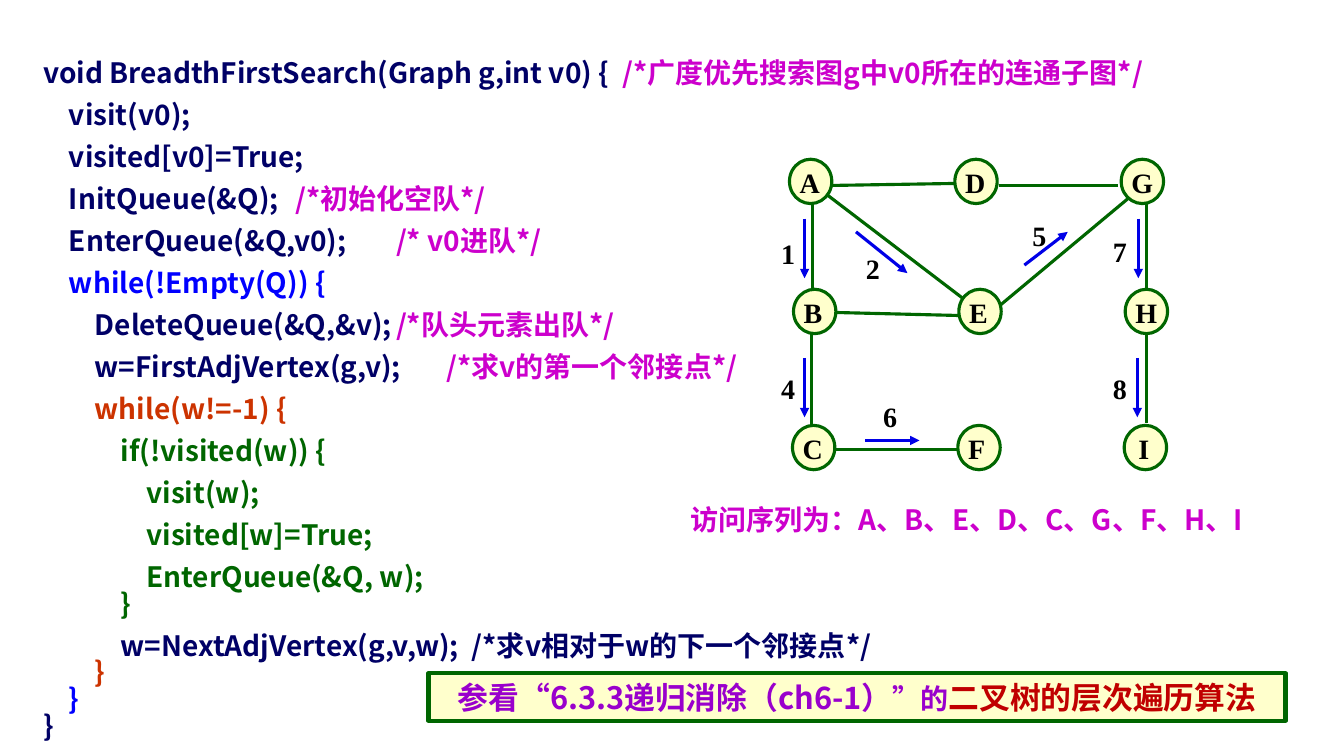
"""Build a slide with breadth-first search code and its traversal graph."""
from dataclasses import dataclass

from lxml.etree import SubElement
from pptx import Presentation
from pptx.dml.color import RGBColor
from pptx.enum.shapes import MSO_CONNECTOR, MSO_SHAPE
from pptx.enum.text import MSO_ANCHOR, PP_ALIGN
from pptx.oxml.ns import qn
from pptx.shapes.autoshape import Shape
from pptx.slide import Slide
from pptx.text.text import _Paragraph, _Run
from pptx.util import Inches, Pt

SANS = "Noto Sans CJK SC"
SERIF = "Times New Roman"
NAVY, MAGENTA, GREEN = "000066", "CC00CC", "006600"
BLUE, ORANGE, ARROW_BLUE = "0000FF", "CC3300", "0000E7"
PURPLE, RED, CREAM, BLACK = "9900CC", "C00000", "FFFFCC", "000000"
INDENT_STEP = 0.256
COMMENT_TAB = 4.0


@dataclass(frozen=True)
class CodeLine:
    level: int
    code: str
    comment: str = ""
    color: str = NAVY
    tight: bool = False


@dataclass(frozen=True)
class Vertex:
    name: str
    left: float
    top: float
    inset: float = 0.04


@dataclass(frozen=True)
class Line:
    x1: float
    y1: float
    x2: float
    y2: float


@dataclass(frozen=True)
class StepLabel:
    number: str
    left: float
    top: float
    width: float = 0.43
    height: float = 0.4


CODE = [
    CodeLine(0, "void BreadthFirstSearch(Graph g,int v0) {  ", "/*广度优先搜索图g中v0所在的连通子图*/"),
    CodeLine(1, "visit(v0);"),
    CodeLine(1, "visited[v0]=True;"),
    CodeLine(1, "InitQueue(&Q);\t", "/*初始化空队*/"),
    CodeLine(1, "EnterQueue(&Q,v0);\t", "/* v0进队*/"),
    CodeLine(1, "while(!Empty(Q)) {", color=BLUE),
    CodeLine(2, "DeleteQueue(&Q,&v);\t", "/*队头元素出队*/"),
    CodeLine(2, "w=FirstAdjVertex(g,v);\t", "/*求v的第一个邻接点*/"),
    CodeLine(2, "while(w!=-1) {", color=ORANGE),
    CodeLine(3, "if(!visited(w)) {", color=GREEN),
    CodeLine(4, "visit(w);", color=GREEN),
    CodeLine(4, "visited[w]=True;", color=GREEN),
    CodeLine(4, "EnterQueue(&Q, w);", color=GREEN),
    CodeLine(3, "}", color=GREEN, tight=True),
    CodeLine(3, "w=NextAdjVertex(g,v,w);  /*求v相对于w的下一个邻接点*/"),
    CodeLine(2, "}", color=ORANGE, tight=True),
    CodeLine(1, "}", color=BLUE, tight=True),
    CodeLine(0, "}", tight=True),
]
VERTICES = [
    Vertex("A", 7.83, 1.58), Vertex("D", 9.47, 1.58), Vertex("G", 11.12, 1.58),
    Vertex("B", 7.87, 2.87), Vertex("E", 9.51, 2.87), Vertex("H", 11.16, 2.87),
    Vertex("C", 7.86, 4.22), Vertex("F", 9.5, 4.22), Vertex("I", 11.15, 4.22, 0.08),
]
EDGES = [
    Line(8.25, 1.84, 9.49, 1.82), Line(9.91, 1.84, 11.09, 1.84),
    Line(8.06, 2.01, 8.06, 2.9), Line(8.2, 1.93, 9.55, 2.96),
    Line(9.93, 3.02, 11.2, 1.96), Line(11.37, 2.02, 11.37, 2.91),
    Line(8.29, 3.1, 9.51, 3.13), Line(8.05, 3.31, 8.05, 4.22),
    Line(11.37, 3.32, 11.37, 4.2), Line(8.29, 4.46, 9.51, 4.46),
]
VISIT_ARROWS = [
    Line(7.98, 2.17, 7.98, 2.76), Line(7.98, 3.55, 7.98, 4.14),
    Line(11.29, 2.17, 11.29, 2.76), Line(11.28, 3.55, 11.28, 4.14),
    Line(8.49, 2.3, 9, 2.71), Line(8.58, 4.37, 9.12, 4.37),
    Line(10.16, 2.63, 10.59, 2.3),
]
STEP_LABELS = [
    StepLabel("1", 7.65, 2.3), StepLabel("2", 8.49, 2.45, 0.48),
    StepLabel("4", 7.65, 3.64), StepLabel("5", 10.14, 2.12, 0.29, 0.66),
    StepLabel("6", 8.66, 3.91, 0.34, 0.52), StepLabel("7", 10.94, 2.28),
    StepLabel("8", 10.94, 3.64),
]


def rgb(color: str) -> RGBColor:
    return RGBColor.from_string(color)


def format_run(run: _Run, color: str, font: str = SANS, size: float = 20) -> None:
    run.font.name = font
    run.font.size = Pt(size)
    run.font.bold = True
    run.font.color.rgb = rgb(color)
    SubElement(run.font._element, qn("a:ea")).set("typeface", font)


def add_run(paragraph: _Paragraph, text: str, color: str, size: float = 20) -> None:
    run = paragraph.add_run()
    run.text = text
    format_run(run, color, size=size)


def add_text_box(slide: Slide, left: float, top: float, width: float, height: float) -> Shape:
    box = slide.shapes.add_textbox(Inches(left), Inches(top), Inches(width), Inches(height))
    box.text_frame.word_wrap = True
    return box


def add_filled_shape(slide: Slide, kind: MSO_SHAPE, left: float, top: float,
                     width: float, height: float, line_width: float) -> Shape:
    shape = slide.shapes.add_shape(kind, Inches(left), Inches(top), Inches(width), Inches(height))
    shape.shadow.inherit = False
    shape.fill.solid()
    shape.fill.fore_color.rgb = rgb(CREAM)
    shape.line.color.rgb = rgb(GREEN)
    shape.line.width = Pt(line_width)
    return shape


def add_line(slide: Slide, line: Line, color: str, arrow: bool = False) -> None:
    connector = slide.shapes.add_connector(
        MSO_CONNECTOR.STRAIGHT, Inches(line.x1), Inches(line.y1), Inches(line.x2), Inches(line.y2))
    connector.line.color.rgb = rgb(color)
    connector.line.width = Pt(2.25)
    if arrow:
        SubElement(connector.line._get_or_add_ln(), qn("a:tailEnd")).set("type", "triangle")
    SubElement(connector._element.spPr, qn("a:effectLst"))


def add_code(slide: Slide) -> None:
    frame = add_text_box(slide, 0.33, 0.5, 12.67, 6.67).text_frame
    for index, line in enumerate(CODE):
        paragraph = frame.add_paragraph() if index else frame.paragraphs[0]
        if line.tight:
            paragraph.line_spacing = Pt(19)
        else:
            paragraph.space_before = Pt(6)
        properties = paragraph._p.get_or_add_pPr()
        properties.set("marL", "0")
        properties.set("indent", str(Inches(line.level * INDENT_STEP)))
        if "\t" in line.code:
            tab = SubElement(SubElement(properties, qn("a:tabLst")), qn("a:tab"))
            tab.set("pos", str(Inches(COMMENT_TAB)))
            tab.set("algn", "l")
        add_run(paragraph, line.code, line.color)
        if line.comment:
            add_run(paragraph, line.comment, MAGENTA)


def add_vertex(slide: Slide, vertex: Vertex) -> None:
    circle = add_filled_shape(slide, MSO_SHAPE.OVAL, vertex.left, vertex.top, 0.42, 0.44, 2.25)
    frame = circle.text_frame
    frame.margin_left, frame.margin_bottom = Inches(vertex.inset), Inches(0.04)
    frame.margin_top = frame.margin_right = Inches(0)
    frame.vertical_anchor = MSO_ANCHOR.TOP
    frame.text = vertex.name
    frame.paragraphs[0].alignment = PP_ALIGN.LEFT
    format_run(frame.paragraphs[0].runs[0], BLACK, SERIF)


def add_step_label(slide: Slide, label: StepLabel) -> None:
    frame = add_text_box(slide, label.left, label.top, label.width, label.height).text_frame
    frame.text = label.number
    format_run(frame.paragraphs[0].runs[0], BLACK, SERIF)


def add_reference(slide: Slide) -> None:
    banner = add_filled_shape(slide, MSO_SHAPE.RECTANGLE, 4.25, 6.68, 8.5, 0.47, 3)
    paragraph = banner.text_frame.paragraphs[0]
    paragraph.alignment = PP_ALIGN.CENTER
    add_run(paragraph, "参看“6.3.3递归消除（ch6-1）", PURPLE, 22)
    add_run(paragraph, "”的", PURPLE)
    add_run(paragraph, "二叉树的层次遍历算法", RED, 22)


def main() -> None:
    presentation = Presentation()
    presentation.slide_width, presentation.slide_height = Inches(13.33), Inches(7.5)
    slide = presentation.slides.add_slide(presentation.slide_layouts[6])
    add_code(slide)
    sequence = add_text_box(slide, 6.75, 4.94, 5.8, 0.44).text_frame
    add_run(sequence.paragraphs[0], "访问序列为：A、B、E、D、C、G、F、H、I", MAGENTA)
    for edge in EDGES:
        add_line(slide, edge, GREEN)
    for vertex in VERTICES:
        add_vertex(slide, vertex)
    for arrow in VISIT_ARROWS:
        add_line(slide, arrow, ARROW_BLUE, arrow=True)
    for label in STEP_LABELS:
        add_step_label(slide, label)
    add_reference(slide)
    presentation.save("out.pptx")


if __name__ == "__main__":
    main()
